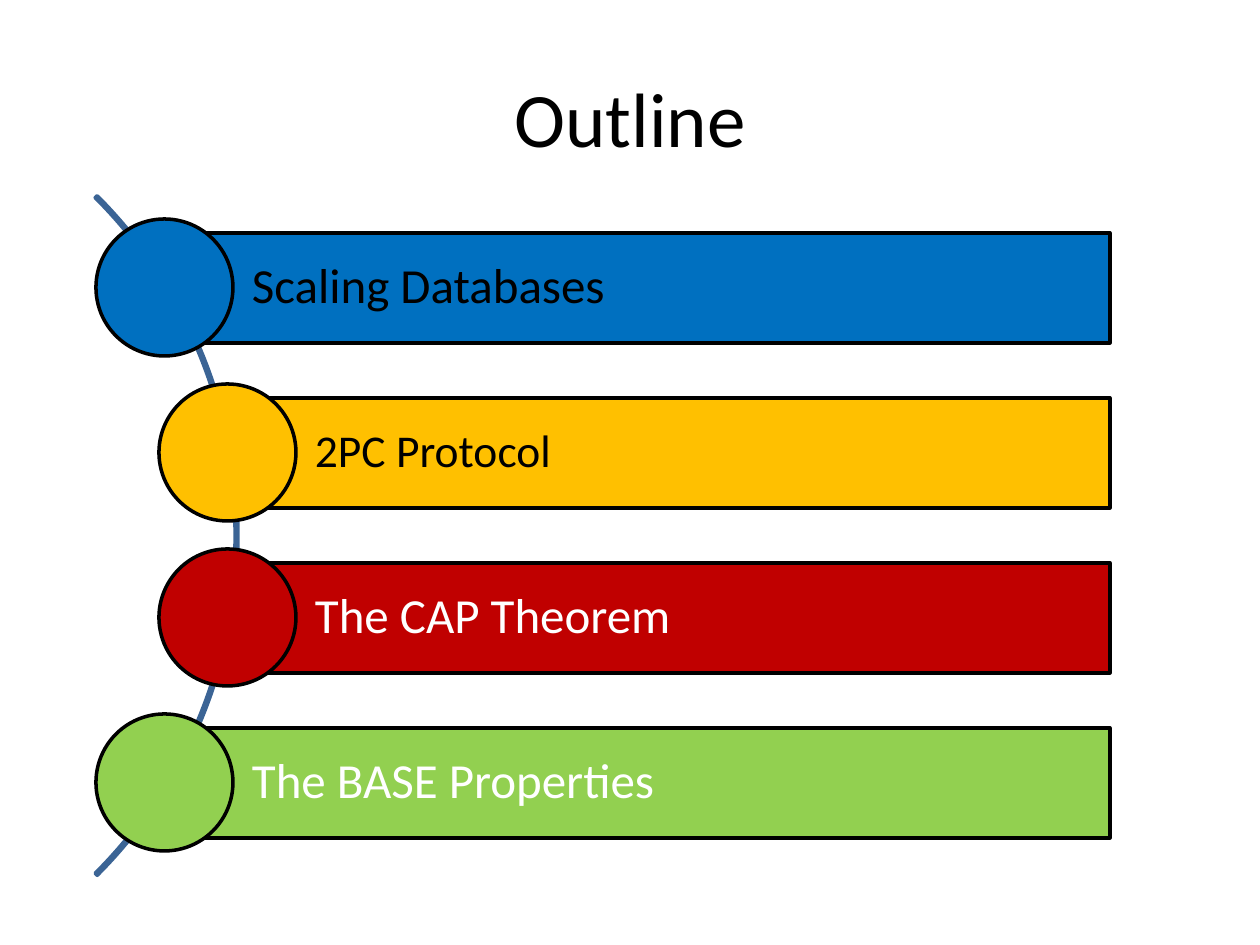
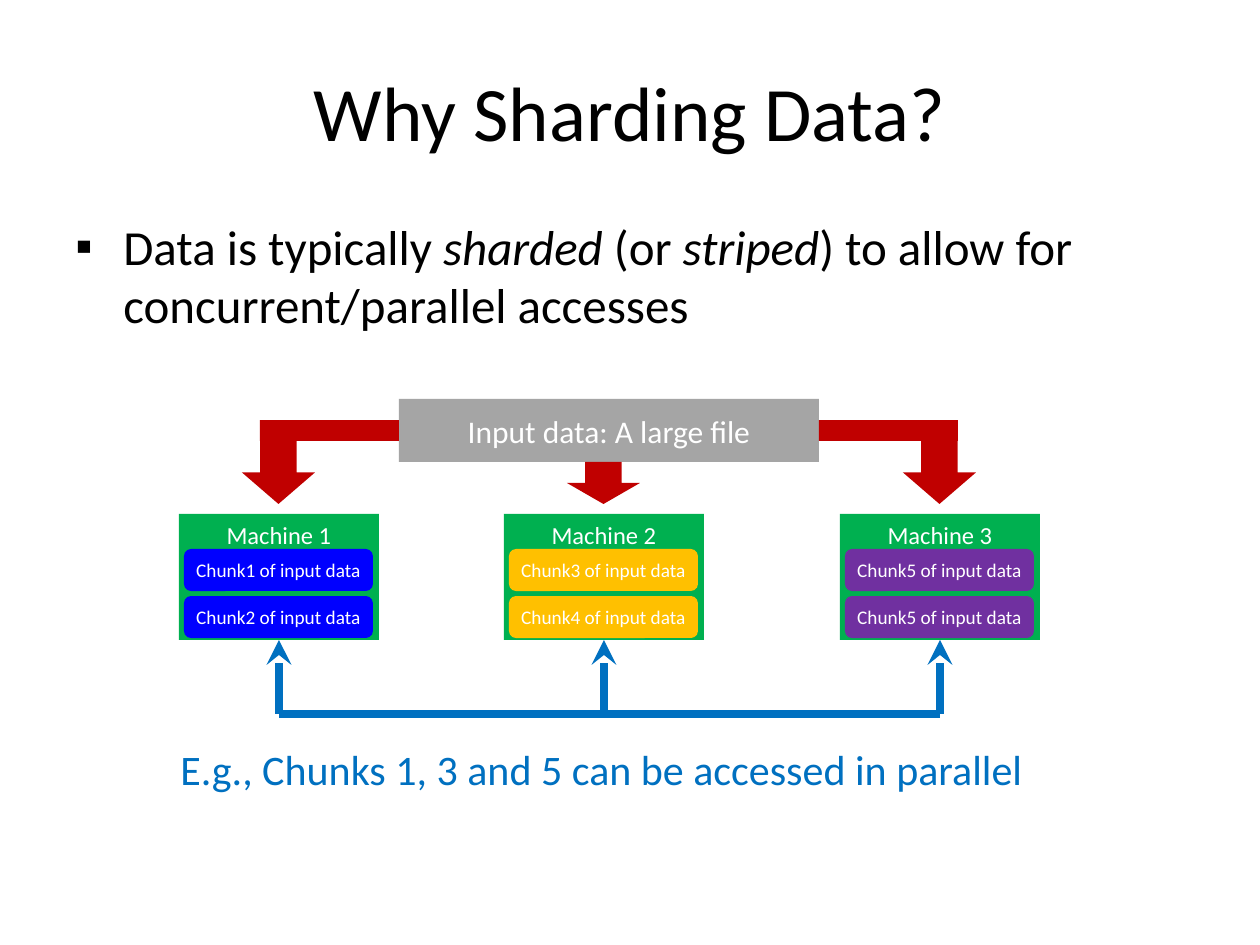
from lxml.etree import SubElement
from pptx import Presentation
from pptx.dml.color import RGBColor
from pptx.enum.shapes import MSO_CONNECTOR, MSO_SHAPE as SHAPE
from pptx.enum.text import MSO_ANCHOR as ANCHOR, PP_ALIGN as ALIGN
from pptx.oxml.ns import qn
from pptx.util import Emu, Pt

FONT = "Calibri"
BLACK = RGBColor(0x00, 0x00, 0x00)
WHITE = RGBColor(0xFF, 0xFF, 0xFF)
BLUE = RGBColor(0x00, 0x70, 0xC0)
AMBER = RGBColor(0xFF, 0xC0, 0x00)
RED = RGBColor(0xC0, 0x00, 0x00)
LIME = RGBColor(0x92, 0xD0, 0x50)
STEEL = RGBColor(0x3B, 0x64, 0x95)
GRAY = RGBColor(0xA5, 0xA5, 0xA5)
GREEN = RGBColor(0x00, 0xB0, 0x50)
PURE_BLUE = RGBColor(0x00, 0x00, 0xFF)
PURPLE = RGBColor(0x70, 0x30, 0xA0)

TOPICS = [
    ("Scaling Databases", 28, BLUE, BLACK, 0),
    ("2PC Protocol", 26, AMBER, BLACK, 63),
    ("The CAP Theorem", 28, RED, WHITE, 63),
    ("The BASE Properties", 28, LIME, WHITE, 0),
]
MACHINES = [
    ("Machine 1", 0, PURE_BLUE, ("Chunk1", "Chunk2")),
    ("Machine 2", 325, AMBER, ("Chunk3", "Chunk4")),
    ("Machine 3", 661, PURPLE, ("Chunk5", "Chunk5")),
]


def px(length):
    """Turn pixels into EMU at 126 pixels to the inch."""
    return Emu(round(length * 914400 / 126))


def style_text(frame, size, color, align=ALIGN.LEFT, anchor=ANCHOR.MIDDLE):
    """Format every run of a text frame alike."""
    frame.word_wrap = True
    frame.vertical_anchor = anchor
    for paragraph in frame.paragraphs:
        paragraph.alignment = align
        for run in paragraph.runs:
            run.font.name = FONT
            run.font.size = Pt(size)
            run.font.color.rgb = color


def add_block(slide, kind, box, fill=None, line=None):
    """Add a flat preset shape with an optional fill and outline."""
    block = slide.shapes.add_shape(kind, *map(px, box))
    block.shadow.inherit = False
    if fill is None:
        block.fill.background()
    else:
        block.fill.solid()
        block.fill.fore_color.rgb = fill
    if line is None:
        block.line.fill.background()
    else:
        block.line.color.rgb = line
        block.line.width = Pt(2)
    return block


def add_label(block, text, size, anchor=ANCHOR.MIDDLE):
    """Write centred white text in a block."""
    block.text_frame.text = text
    style_text(block.text_frame, size, WHITE, ALIGN.CENTER, anchor)


def add_titled_slide(prs, text, top):
    """Add a title-only slide with its title at the given top."""
    slide = prs.slides.add_slide(prs.slide_layouts[5])
    title = slide.shapes.title
    title.left, title.top, title.width, title.height = map(px, (63, top, 1134, 158))
    title.text_frame.text = text
    style_text(title.text_frame, 44, BLACK, ALIGN.CENTER)
    return slide


def add_topic_list(slide, left, top, right):
    """Add the arc and the topic bars, each led by a circle."""
    diameter, bar_height, pitch = 137, 110, 165
    arc = add_block(slide, SHAPE.BLOCK_ARC, (left - 819, top - 164, 961, 961), line=STEEL)
    for index, angle in enumerate((189, 27, 0.003)):
        arc.adjustments[index] = angle
    for row, (topic, size, fill, color, indent) in enumerate(TOPICS):
        circle_left, circle_top = left + indent, top + row * pitch
        bar_left = circle_left + 69
        bar = add_block(slide, SHAPE.RECTANGLE,
                        (bar_left, circle_top + 14, right - bar_left, bar_height), fill, BLACK)
        bar.text_frame.text = topic
        bar.text_frame.margin_left = px(87)
        bar.text_frame.paragraphs[0].line_spacing = 0.9
        style_text(bar.text_frame, size, color)
        add_block(slide, SHAPE.OVAL, (circle_left, circle_top, diameter, diameter), fill, BLACK)


def add_statement(slide, box):
    """Add the bulleted statement with its italic terms."""
    frame = slide.shapes.add_textbox(*map(px, box)).text_frame
    paragraph = frame.paragraphs[0]
    for text, italic in (("Data is typically ", False), ("sharded", True), (" (or ", False),
                         ("striped", True), (") to allow for concurrent/parallel accesses", False)):
        run = paragraph.add_run()
        run.text = text
        run.font.italic = italic
    style_text(frame, 28, BLACK, anchor=ANCHOR.TOP)
    properties = paragraph._p.get_or_add_pPr()
    properties.set("marL", str(px(48)))
    properties.set("indent", str(-px(48)))
    SubElement(properties, qn("a:buFont"), typeface="Arial")
    SubElement(properties, qn("a:buChar"), char="▪")


def add_input_file(slide, left, top):
    """Add the input file and the red arrows that split it."""
    source = add_block(slide, SHAPE.RECTANGLE, (left, top, 420, 63), GRAY)
    add_label(source, "Input data: A large file", 18)
    for arm_left in (left - 139, left + 420):
        add_block(slide, SHAPE.RECTANGLE, (arm_left, top + 21, 139, 21), RED)
    for arrow_left, drop, height in ((-157, 42, 63), (168, 63, 42), (504, 42, 63)):
        add_block(slide, SHAPE.DOWN_ARROW, (left + arrow_left, top + drop, 73, height), RED)


def add_machine(slide, left, top, name, fill, chunks):
    """Add one machine with its chunks stacked inside."""
    machine = add_block(slide, SHAPE.RECTANGLE, (left, top, 200, 126), GREEN)
    add_label(machine, name, 14, ANCHOR.TOP)
    for row, chunk in enumerate(chunks):
        part = add_block(slide, SHAPE.ROUNDED_RECTANGLE,
                         (left + 5, top + 35 + 47 * row, 189, 42), fill)
        part.text_frame.margin_left = part.text_frame.margin_right = 0
        add_label(part, f"{chunk} of input data", 11)
    return machine


def add_access_line(slide, start, end):
    """Add a thick blue line between two points in EMU."""
    access = slide.shapes.add_connector(MSO_CONNECTOR.STRAIGHT, *start, *end)
    access.line.color.rgb = BLUE
    access.line.width = Pt(4.75)
    SubElement(access._element.spPr, qn("a:effectLst"))
    return access


def add_parallel_access(slide, machines, bus_top):
    """Join the machines from below by arrows on a common line."""
    centers = [machine.left + machine.width // 2 for machine in machines]
    for machine, center in zip(machines, centers):
        arrow = add_access_line(slide, (center, bus_top),
                                (center, machine.top + machine.height))
        arrow.end_connect(machine, 2)
        SubElement(arrow.line._get_or_add_ln(), qn("a:tailEnd"), type="stealth")
    add_access_line(slide, (centers[0], bus_top), (centers[-1], bus_top))


def add_example(slide, box):
    """Add the blue example under the machines."""
    frame = slide.shapes.add_textbox(*map(px, box)).text_frame
    frame.text = "E.g., Chunks 1, 3 and 5 can be accessed in parallel"
    style_text(frame, 24, BLUE, anchor=ANCHOR.TOP)


def build_outline(prs):
    """Build the outline slide."""
    slide = add_titled_slide(prs, "Outline", 38)
    add_topic_list(slide, 96, 219, 1110)


def build_sharding(prs):
    """Build the slide on sharding data."""
    slide = add_titled_slide(prs, "Why Sharding Data?", 32)
    add_statement(slide, (63, 210, 1166, 140))
    add_input_file(slide, 399, 399)
    machines = [add_machine(slide, 179 + offset, 514, name, fill, chunks)
                for name, offset, fill, chunks in MACHINES]
    add_parallel_access(slide, machines, px(714))
    add_example(slide, (168, 737, 874, 63))


def main():
    """Build and save the presentation."""
    prs = Presentation()
    prs.slide_width, prs.slide_height = px(1260), px(945)
    build_outline(prs)
    build_sharding(prs)
    prs.save("out.pptx")


if __name__ == "__main__":
    main()
